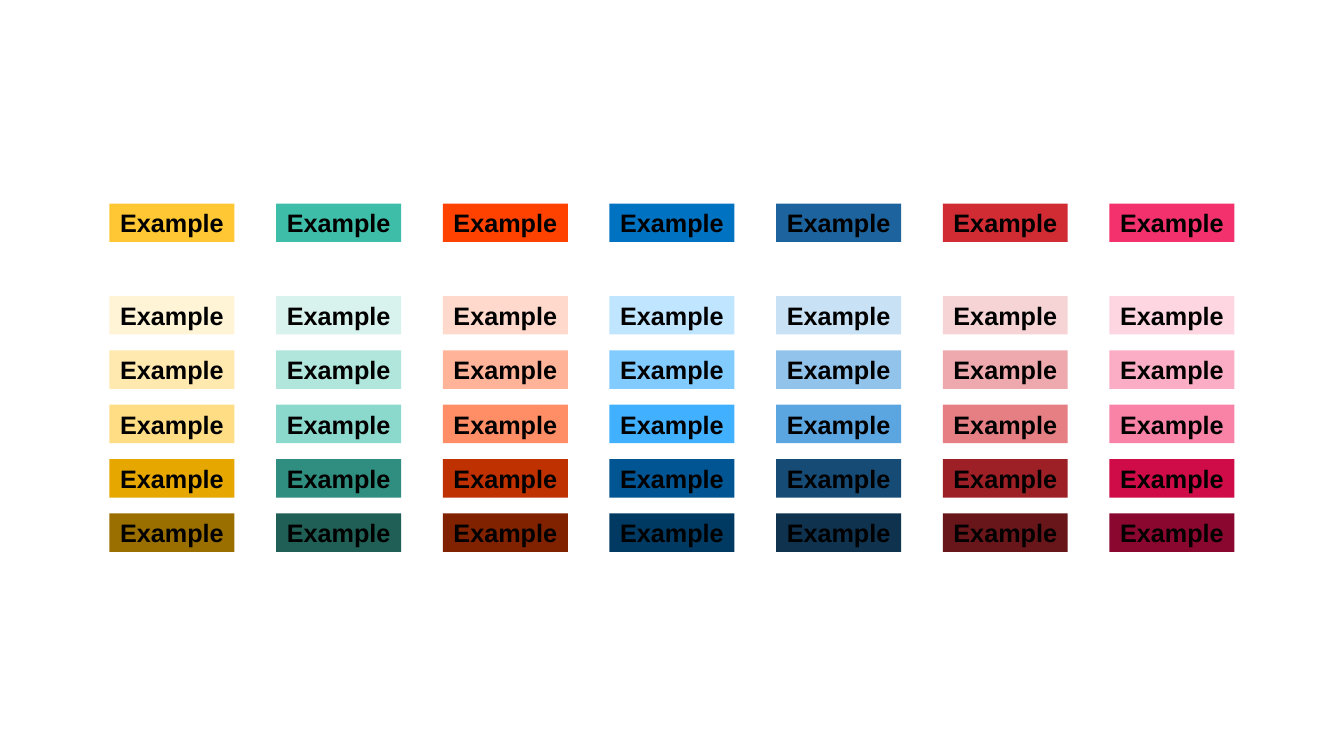
from dataclasses import dataclass

from pptx import Presentation
from pptx.dml.color import RGBColor
from pptx.enum.shapes import MSO_SHAPE as Shape
from pptx.enum.text import MSO_ANCHOR as Anchor, PP_ALIGN as Align
from pptx.shapes.shapetree import GroupShapes
from pptx.util import Cm, Pt

# Each hue runs: base, three tints from light to strong, two shades
COLORS = {
    "yellow": ["FFC734", "FFF4D6", "FFE9AE", "FFDD85", "E6A700", "9A6F00"],
    "teal": ["3EBEA9", "D8F2EE", "B1E6DD", "8AD9CC", "2F8E7F", "1F5F55"],
    "orange": ["FF4200", "FFD9CC", "FFB399", "FF8E66", "BF3100", "802100"],
    "blue": ["0072C2", "C0E5FF", "81CBFF", "41B1FF", "005592", "003961"],
    "navy": ["1D649E", "C8E1F5", "92C3EB", "5BA5E1", "164B76", "0F324F"],
    "red": ["D12B33", "F6D4D6", "EDA9AD", "E57F84", "9D2026", "68161A"],
    "pink": ["F3316C", "FDD6E2", "FAADC4", "F883A7", "CF0C47", "8A0830"],
}
TEXT_COLOR = "000000"

LEFT, COLUMN_PITCH = 2.76, 4.2
BASE_TOP, VARIANT_TOP, ROW_PITCH = 5.13, 7.46, 1.37
WIDTH, HEIGHT = 3.15, 0.97


@dataclass(frozen=True)
class Swatch:
    left: float
    top: float
    fill: str


def palette_swatches() -> list[Swatch]:
    """Lay out one column per hue, with its base colour set apart on top."""
    tops = [BASE_TOP] + [VARIANT_TOP + row * ROW_PITCH for row in range(5)]
    return [
        Swatch(LEFT + column * COLUMN_PITCH, top, fill)
        for column, fills in enumerate(COLORS.values())
        for top, fill in zip(tops, fills)
    ]


def draw_swatch(shapes: GroupShapes, swatch: Swatch) -> None:
    sp = shapes.add_shape(
        Shape.RECTANGLE, Cm(swatch.left), Cm(swatch.top), Cm(WIDTH), Cm(HEIGHT)
    )
    sp.shadow.inherit = False
    sp.fill.solid()
    sp.fill.fore_color.rgb = RGBColor.from_string(swatch.fill)
    sp.line.fill.background()

    tf = sp.text_frame
    tf.text = "Example"
    tf.word_wrap = False
    tf.vertical_anchor = Anchor.MIDDLE
    p = tf.paragraphs[0]
    p.alignment = Align.CENTER
    font = p.runs[0].font
    font.name, font.size, font.bold = "Arial", Pt(18), True
    font.color.rgb = RGBColor.from_string(TEXT_COLOR)


def main() -> None:
    prs = Presentation()
    prs.slide_width, prs.slide_height = Cm(33.87), Cm(19.05)
    slide = prs.slides.add_slide(prs.slide_layouts[6])
    palette = slide.shapes.add_group_shape()
    for swatch in palette_swatches():
        draw_swatch(palette.shapes, swatch)
    prs.save("out.pptx")


if __name__ == "__main__":
    main()
